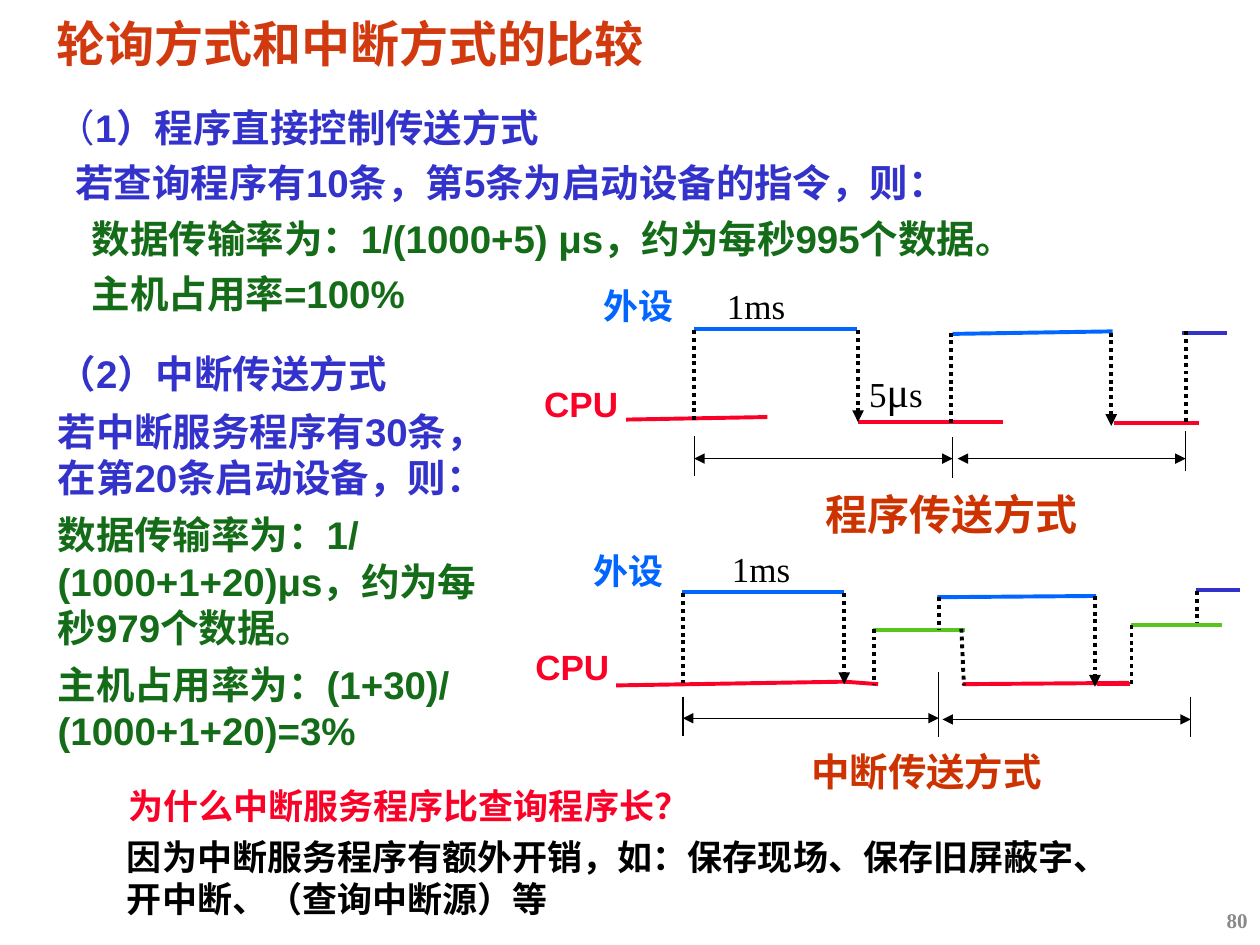
"""Build a slide comparing polling and interrupt transfer with two timing diagrams."""
from lxml import etree
from pptx import Presentation
from pptx.dml.color import RGBColor
from pptx.enum.dml import MSO_LINE
from pptx.enum.shapes import MSO_CONNECTOR, MSO_SHAPE
from pptx.enum.text import MSO_ANCHOR, PP_ALIGN
from pptx.oxml.ns import qn
from pptx.util import Inches, Pt

STRAIGHT = MSO_CONNECTOR.STRAIGHT
RECT = MSO_SHAPE.RECTANGLE
DOTTED = MSO_LINE.ROUND_DOT
TOP, MIDDLE = MSO_ANCHOR.TOP, MSO_ANCHOR.MIDDLE
LEFT, RIGHT = PP_ALIGN.LEFT, PP_ALIGN.RIGHT

THEME = {
    "title": "D1390F", "heading": "3333CC", "result": "146C18", "device": "0066FF",
    "cpu": "FC0128", "service": "56C61E", "caption": "CC3300", "ink": "000000",
    "page": "898989", "paper": "FFFFFF",
    "sans": "Arial", "serif": "Times New Roman", "cjk": "Noto Sans CJK SC",
    "title_size": 28, "large": 24, "body": 22, "label": 20, "small": 12,
    "thick": 2.25, "thin": 0.75,
}

TITLE = "轮询方式和中断方式的比较"
POLLING = [
    {"runs": [("（", {"bold": False}), ("1）程序直接控制传送方式", {})]},
    {"runs": [("若查询程序有10条，第5条为启动设备的指令，则：", {})], "indent": 0.15},
    {"runs": [("数据传输率为：1/(1000+5) μs，约为每秒995个数据。", {"color": "result"})], "indent": 0.28},
    {"runs": [("主机占用率=100%", {"color": "result"})], "indent": 0.28},
]
INTERRUPT = [
    {"runs": [("（2）中断传送方式", {})]},
    {"runs": [("若中断服务程序有30条，在第20条启动设备，则：", {})]},
    {"runs": [("数据传输率为：1/(1000+1+20)μs，约为每秒979个数据。", {"color": "result"})]},
    {"runs": [("主机占用率为：(1+30)/(1000+1+20)=3%", {"color": "result"})]},
]
QUESTION = "为什么中断服务程序比查询程序长？"
ANSWER = "因为中断服务程序有额外开销，如：保存现场、保存旧屏蔽字、开中断、（查询中断源）等"
PULSE_WIDTH = [{"runs": [("5", {}), ("μ", {"size": "large"}), ("s", {})]}]

LINE_STYLES = {
    "device": {"color": "device"},
    "next": {"color": "heading"},
    "cpu": {"color": "cpu"},
    "service": {"color": "service"},
    "edge": {"color": "ink", "dash": DOTTED},
    "trigger": {"color": "ink", "dash": DOTTED, "ends": ("tailEnd",)},
    "tick": {"color": "ink", "width": "thin"},
    "period": {"color": "ink", "width": "thin", "ends": ("headEnd", "tailEnd")},
}
DEVICE = {"color": "device", "font": "serif", "size": "label"}
CPU = {"color": "cpu", "size": "label"}
TIME = {"font": "serif", "size": "label", "bold": False}
CAPTION = {"color": "caption", "font": "serif"}

DIAGRAMS = [
    {
        "lines": {
            "device": [(5.51, 2.61, 6.8, 2.61), (7.56, 2.65, 8.83, 2.63)],
            "next": [(9.38, 2.64, 9.74, 2.64)],
            "cpu": [(4.97, 3.33, 6.09, 3.31), (6.81, 3.35, 7.96, 3.35), (8.84, 3.36, 9.52, 3.36)],
            "edge": [(5.51, 2.62, 5.51, 3.34), (7.55, 2.64, 7.55, 3.37), (9.41, 2.63, 9.41, 3.35)],
            "trigger": [(6.81, 2.62, 6.81, 3.35), (8.82, 2.64, 8.82, 3.38)],
            "tick": [(5.51, 3.46, 5.51, 3.78), (7.56, 3.47, 7.56, 3.79), (9.41, 3.42, 9.41, 3.74)],
            "period": [(5.51, 3.64, 7.56, 3.64), (7.6, 3.64, 9.41, 3.64)],
        },
        "labels": [
            ("外设", (4.69, 2.21, 1.19, 0.43), DEVICE),
            ("CPU", (4.22, 2.99, 1.3, 0.43), CPU),
            ("1ms", (5.67, 2.21, 1.1, 0.43), TIME),
            (PULSE_WIDTH, (6.8, 2.85, 1.1, 0.5), TIME),
            ("程序传送方式", (6.45, 3.83, 2.23, 0.5), {**CAPTION, "size": "large"}),
        ],
    },
    {
        "lines": {
            "device": [(5.41, 4.7, 6.7, 4.7), (7.44, 4.74, 8.7, 4.73)],
            "next": [(9.49, 4.68, 9.84, 4.68)],
            "cpu": [(4.89, 5.44, 6.72, 5.41), (6.7, 5.41, 6.97, 5.43),
                    (7.64, 5.43, 8.96, 5.42), (8.71, 5.43, 8.97, 5.43)],
            "service": [(6.93, 5, 7.66, 5), (8.98, 4.96, 9.7, 4.96)],
            "edge": [(5.42, 4.71, 5.42, 5.42), (6.94, 4.99, 6.94, 5.43), (7.45, 4.74, 7.45, 4.99),
                     (7.63, 4.99, 7.65, 5.44), (8.98, 4.96, 8.98, 5.43), (9.5, 4.69, 9.5, 4.94)],
            "trigger": [(6.7, 4.71, 6.7, 5.43), (8.69, 4.73, 8.69, 5.45)],
            "tick": [(5.42, 5.53, 5.42, 5.84), (7.45, 5.33, 7.45, 5.85), (9.45, 5.53, 9.45, 5.85)],
            "period": [(5.42, 5.7, 7.45, 5.7), (7.48, 5.71, 9.45, 5.71)],
        },
        "labels": [
            ("外设", (4.61, 4.31, 1.17, 0.43), DEVICE),
            ("CPU", (4.15, 5.07, 1.29, 0.43), CPU),
            ("1ms", (5.71, 4.3, 1.09, 0.43), TIME),
            ("中断传送方式", (6.34, 5.89, 2.05, 0.47), {**CAPTION, "wrap": False}),
        ],
    },
]


def rgb(name):
    return RGBColor.from_string(THEME[name])


def write(sp, text, color="ink", font="sans", size="body", bold=True, align=LEFT, anchor=TOP,
          wrap=True, inset=(0.1, 0.05), spacing=None, before=0):
    tf = sp.text_frame
    tf.word_wrap = wrap
    tf.vertical_anchor = anchor
    tf.margin_left = tf.margin_right = Inches(inset[0])
    tf.margin_top = tf.margin_bottom = Inches(inset[1])
    paragraphs = [{"runs": [(text, {})]}] if isinstance(text, str) else text
    for i, item in enumerate(paragraphs):
        p = tf.add_paragraph() if i else tf.paragraphs[0]
        p.alignment = align
        p.line_spacing = spacing
        p.space_before = Pt(before if i else 0)
        if "indent" in item:
            p_pr = p._p.get_or_add_pPr()
            p_pr.set("marL", str(Inches(item["indent"])))
            p_pr.set("indent", "0")
        for words, change in item["runs"]:
            look = {"color": color, "size": size, "bold": bold, **change}
            r = p.add_run()
            r.text = words
            r.font.name = THEME[font]
            r.font.size = Pt(THEME[look["size"]])
            r.font.bold = look["bold"]
            r.font.color.rgb = rgb(look["color"])
            etree.SubElement(r._r.get_or_add_rPr(), qn("a:ea"), typeface=THEME["cjk"])


def add_text(shapes, text, box, **fmt):
    write(shapes.add_textbox(*map(Inches, box)), text, **fmt)


def add_line(shapes, points, color, width="thick", dash=None, ends=()):
    sp = shapes.add_connector(STRAIGHT, *map(Inches, points))
    sp.line.color.rgb = rgb(color)
    sp.line.width = Pt(THEME[width])
    if dash:
        sp.line.dash_style = dash
    for end in ends:
        etree.SubElement(sp.line._get_or_add_ln(), qn(f"a:{end}"), type="triangle")
    etree.SubElement(sp._element.spPr, qn("a:effectLst"))


def add_diagram(s, diagram):
    shapes = s.shapes.add_group_shape().shapes
    for style, lines in diagram["lines"].items():
        for points in lines:
            add_line(shapes, points, **LINE_STYLES[style])
    for text, box, fmt in diagram["labels"]:
        add_text(shapes, text, box, **fmt)


def main():
    prs = Presentation()
    prs.slide_width, prs.slide_height = Inches(10), Inches(7.5)
    s = prs.slides.add_slide(prs.slide_layouts[5])

    title = s.shapes.title
    title.left, title.top, title.width, title.height = map(Inches, (0.38, 0.14, 6.94, 0.46))
    write(title, TITLE, color="title", font="cjk", size="title_size", inset=(0.07, 0.03), spacing=0.87)
    add_text(s.shapes, POLLING, (0.38, 0.72, 8.56, 2.25), color="heading", inset=(0.07, 0.03), spacing=1.2)
    add_text(s.shapes, INTERRUPT, (0.36, 2.73, 3.73, 3.36), color="heading", before=6.5)

    for diagram in DIAGRAMS:
        add_diagram(s, diagram)

    add_text(s.shapes, QUESTION, (0.92, 6.18, 4.79, 0.43), color="cpu", size="label")
    answer = s.shapes.add_shape(RECT, *map(Inches, (0.91, 6.58, 8.13, 0.77)))
    answer.shadow.inherit = False
    answer.fill.solid()
    answer.fill.fore_color.rgb = rgb("paper")
    answer.line.fill.background()
    write(answer, ANSWER, size="label")
    add_text(s.shapes, "80", (7.75, 7.1, 2.25, 0.4), color="page", font="serif", size="small",
             align=RIGHT, anchor=MIDDLE)
    prs.save("out.pptx")


if __name__ == "__main__":
    main()
